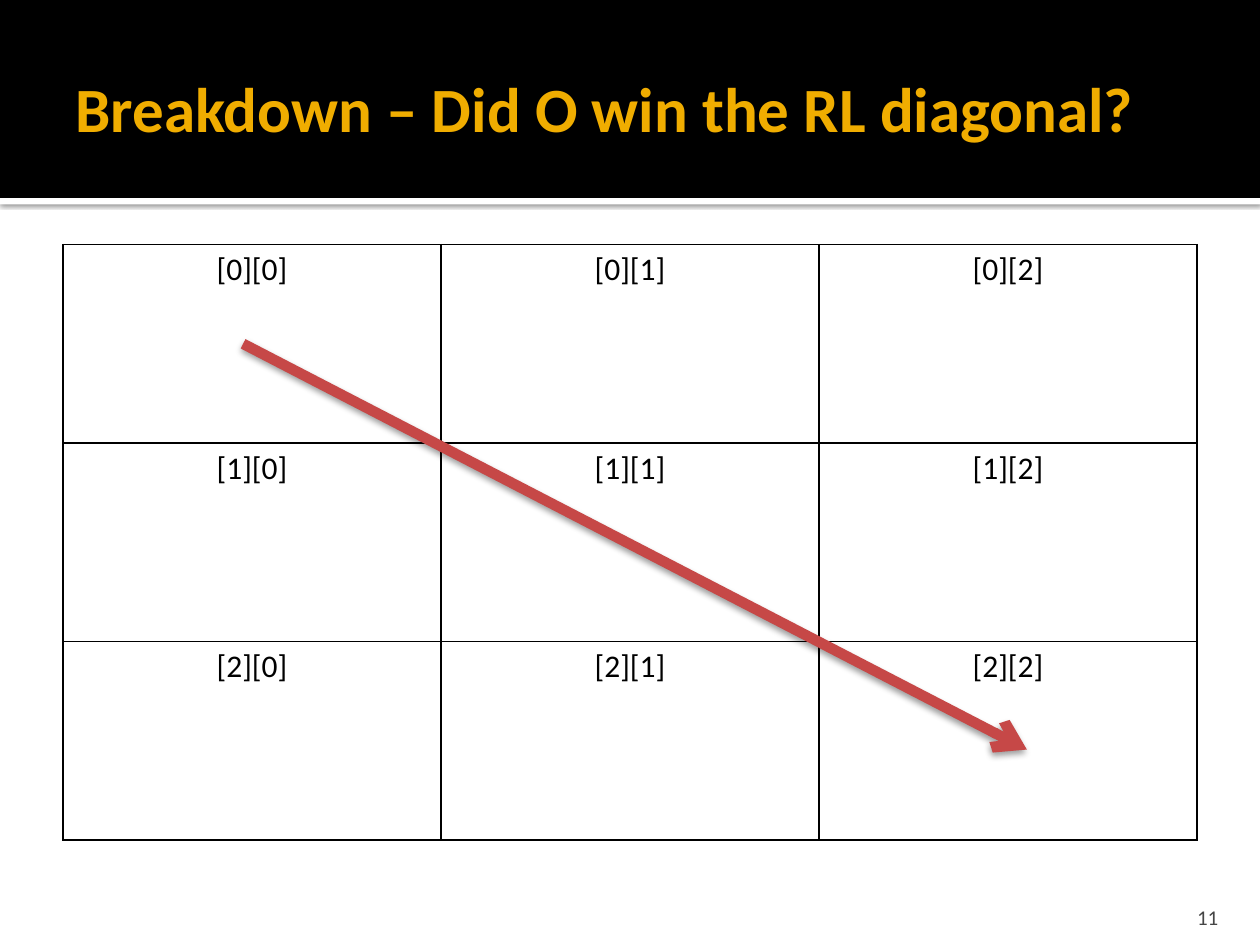
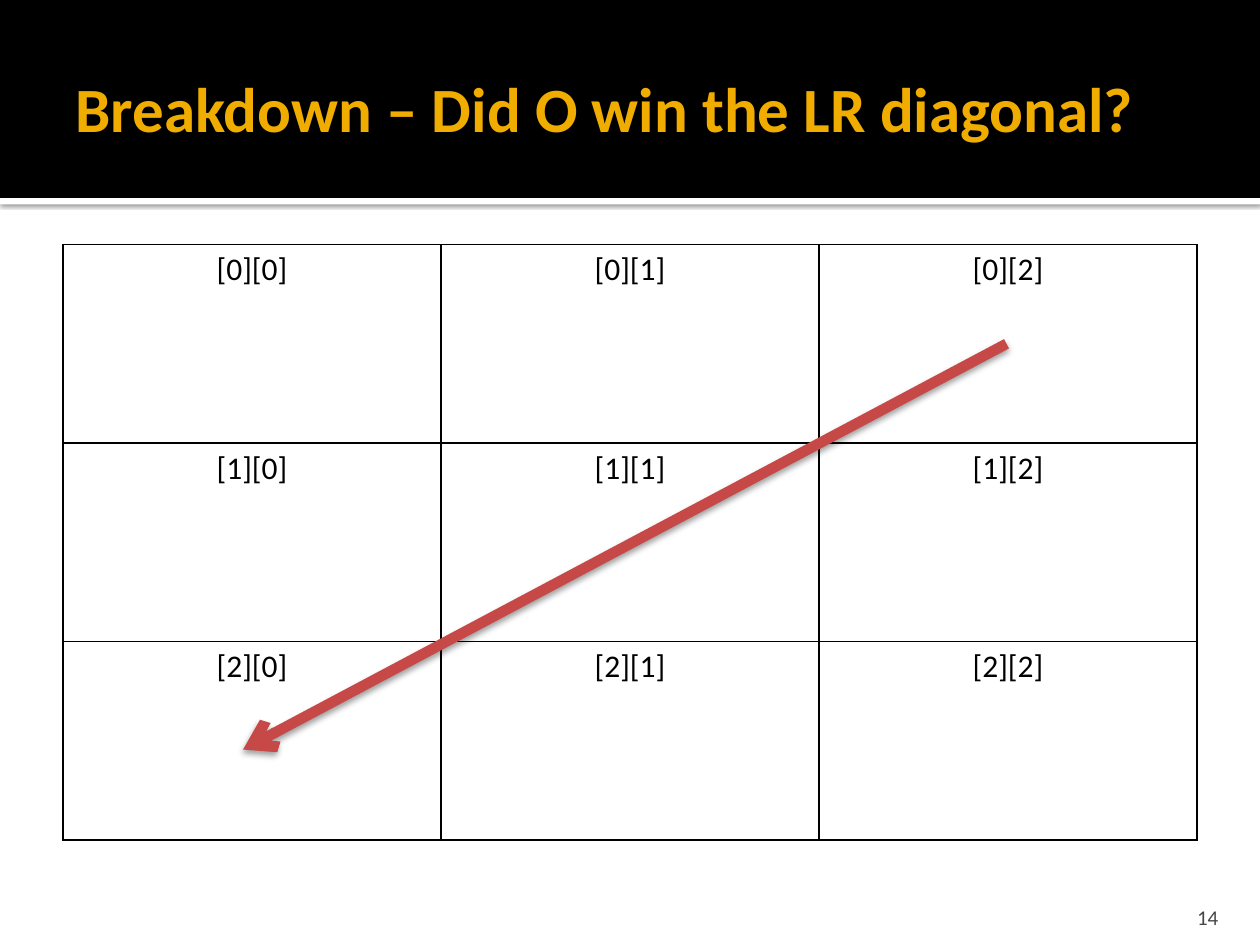
import lxml.etree
import pptx
import pptx.dml.color
import pptx.enum.shapes
import pptx.enum.text
import pptx.oxml.ns
import pptx.util

Cm = pptx.util.Cm
Pt = pptx.util.Pt
RGBColor = pptx.dml.color.RGBColor
Align = pptx.enum.text.PP_ALIGN
Anchor = pptx.enum.text.MSO_ANCHOR

BLACK = RGBColor(0x00, 0x00, 0x00)
WHITE = RGBColor(0xFF, 0xFF, 0xFF)
GOLD = RGBColor(0xF0, 0xAD, 0x00)
GREY = RGBColor(0x45, 0x45, 0x45)
RED = RGBColor(0xC6, 0x48, 0x47)

FONT = "Calibri"
PAGE_WIDTH, PAGE_HEIGHT = Cm(25.4), Cm(19.05)
BAND_HEIGHT = Cm(3.99)
MARGIN = Cm(1.27)
BOARD_SIZE = 3
CELL_WIDTH, CELL_HEIGHT = Cm(7.62), Cm(4)
ARROW_TOP, ARROW_BOTTOM = Cm(6.93), Cm(15.11)

SLIDES = [
    ("Breakdown – Did O win the RL diagonal?", 11, Cm(4.9), Cm(20.7)),
    ("Breakdown – Did O win the LR diagonal?", 14, Cm(20.29), Cm(4.9)),
]


def add_child(parent, tag, **attributes):
    child = lxml.etree.SubElement(parent, pptx.oxml.ns.qn(tag))
    for name, value in attributes.items():
        child.set(name, str(value))
    return child


def add_shadow(effects, opacity, blur, distance):
    shadow = add_child(effects, "a:outerShdw", blurRad=Pt(blur), dist=Pt(distance),
                       dir=90 * 60000, algn="ctr", rotWithShape=0)
    color = add_child(shadow, "a:srgbClr", val=BLACK)
    add_child(color, "a:alpha", val=opacity * 1000)


def style_paragraph(paragraph, size, color, align, bold=False):
    paragraph.alignment = align
    font = paragraph.font
    font.name, font.size, font.bold = FONT, Pt(size), bold
    font.color.rgb = color


def add_band(page, top, height, color):
    band = page.shapes.add_shape(pptx.enum.shapes.MSO_SHAPE.RECTANGLE,
                                 0, top, PAGE_WIDTH, height)
    band.shadow.inherit = False
    band.fill.solid()
    band.fill.fore_color.rgb = color
    band.line.fill.background()
    return band


def add_header_bands(page):
    strip = add_band(page, BAND_HEIGHT, Cm(0.13), WHITE)
    effects = strip.element.spPr.find(pptx.oxml.ns.qn("a:effectLst"))
    add_shadow(effects, opacity=60, blur=2.5, distance=0.8)
    add_band(page, 0, BAND_HEIGHT, BLACK)


def add_text(page, text, place, margins, anchor, size, color, align, bold=False):
    box = page.shapes.add_textbox(*place)
    frame = box.text_frame
    frame.word_wrap = True
    frame.vertical_anchor = anchor
    frame.margin_left, frame.margin_top, frame.margin_right, frame.margin_bottom = margins
    frame.text = text
    style_paragraph(frame.paragraphs[0], size, color, align, bold)


def add_title(page, text):
    add_text(page, text, (MARGIN, Cm(0.43), PAGE_WIDTH - 2 * MARGIN, Cm(3.48)),
             (Cm(0.25), Cm(0.13), Cm(0.13), Cm(0.13)),
             Anchor.MIDDLE, 36, GOLD, Align.LEFT, bold=True)


def add_page_number(page, number):
    add_text(page, str(number), (Cm(22.78), Cm(17.98), Cm(2.03), Cm(0.76)),
             (Cm(0.25), Cm(0.13), Cm(0.25), 0),
             Anchor.BOTTOM, 12, GREY, Align.RIGHT)


def outline_cell(cell):
    properties = cell._tc.get_or_add_tcPr()
    for side in ("a:lnL", "a:lnR", "a:lnT", "a:lnB"):
        border = add_child(properties, side, w=Pt(1))
        add_child(add_child(border, "a:solidFill"), "a:srgbClr", val=BLACK)
    cell.fill.background()


def add_board(page):
    frame = page.shapes.add_table(BOARD_SIZE, BOARD_SIZE, MARGIN, Cm(4.93),
                                  BOARD_SIZE * CELL_WIDTH, BOARD_SIZE * CELL_HEIGHT)
    table = frame.table
    table.first_row = False
    table.horz_banding = False
    for row in range(BOARD_SIZE):
        for column in range(BOARD_SIZE):
            cell = table.cell(row, column)
            cell.text = f"[{row}][{column}]"
            style_paragraph(cell.text_frame.paragraphs[0], 18, BLACK, Align.CENTER)
            outline_cell(cell)


def add_diagonal_arrow(page, start, end):
    arrow = page.shapes.add_connector(pptx.enum.shapes.MSO_CONNECTOR.STRAIGHT,
                                      start, ARROW_TOP, end, ARROW_BOTTOM)
    arrow.line.width = Pt(6)
    arrow.line.color.rgb = RED
    add_child(arrow.line._get_or_add_ln(), "a:tailEnd", type="arrow")
    effects = add_child(arrow.element.spPr, "a:effectLst")
    add_shadow(effects, opacity=38, blur=3.5, distance=2)


def main():
    deck = pptx.Presentation()
    deck.slide_width, deck.slide_height = PAGE_WIDTH, PAGE_HEIGHT
    for title, number, start, end in SLIDES:
        page = deck.slides.add_slide(deck.slide_layouts[6])
        add_header_bands(page)
        add_title(page, title)
        add_board(page)
        add_page_number(page, number)
        add_diagonal_arrow(page, start, end)
    deck.save("out.pptx")


if __name__ == "__main__":
    main()
